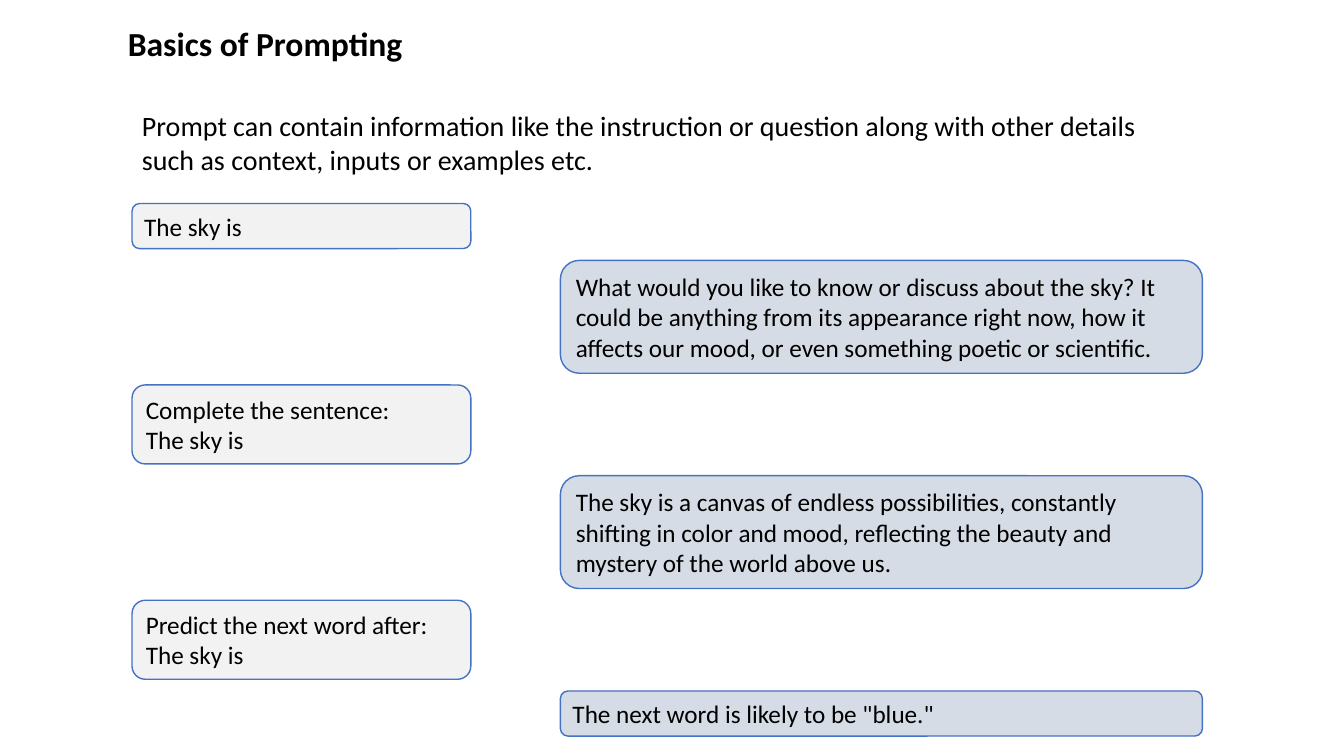
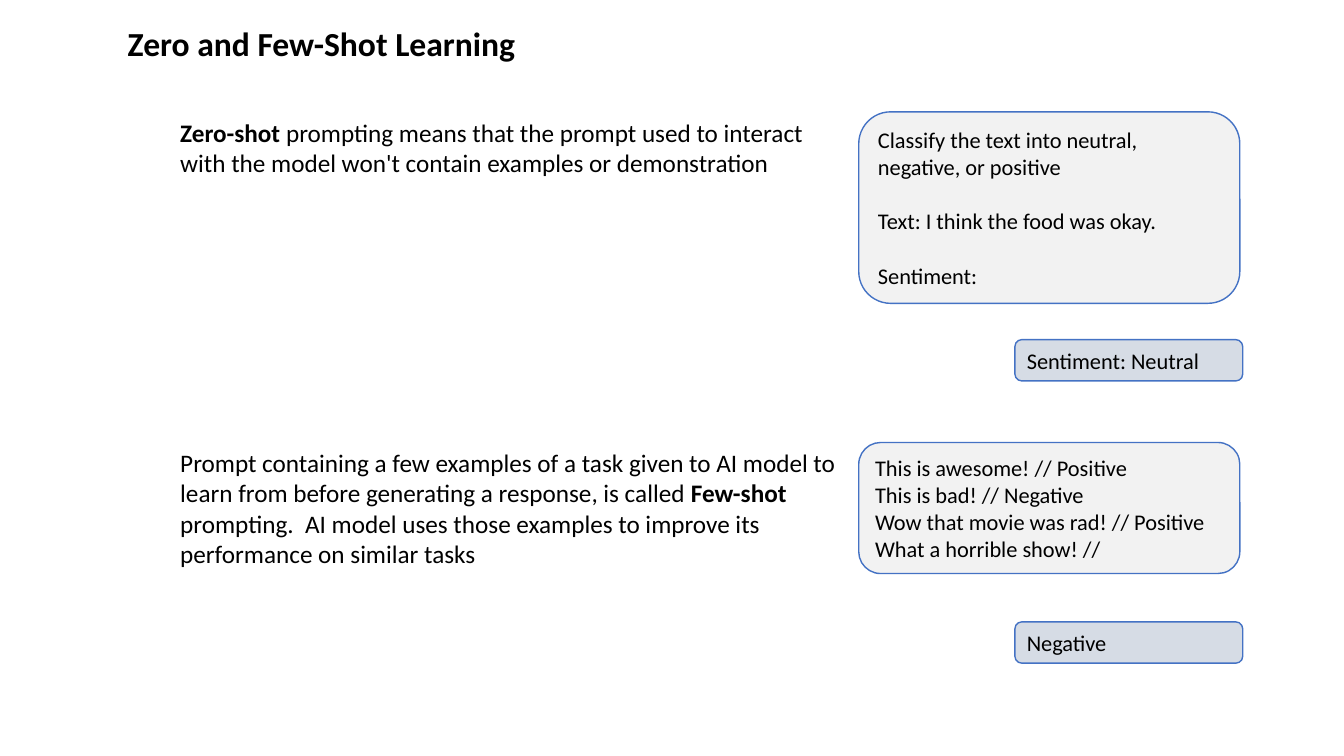
import dataclasses

import pptx
import pptx.dml.color
import pptx.enum.shapes
import pptx.enum.text
import pptx.util

Pt = pptx.util.Pt
Color = pptx.dml.color.RGBColor.from_string
Kind = pptx.enum.shapes.MSO_SHAPE
Anchor = pptx.enum.text.MSO_ANCHOR
Align = pptx.enum.text.PP_ALIGN


# Colours and type sizes
@dataclasses.dataclass(frozen=True)
class Theme:
    font: str = "Calibri"
    ink: str = "000000"
    edge: str = "4472C4"
    ask: str = "F2F2F2"
    reply: str = "D6DCE5"
    title: int = 24
    lead: int = 20
    body: int = 18
    small: int = 16


THEME = Theme()

# Chat turns: speaker, line count, paragraphs
CHAT = [
    ("ask", 1, ["The sky is"]),
    ("reply", 3, ["What would you like to know or discuss about the sky? It could be "
                  "anything from its appearance right now, how it affects our mood, "
                  "or even something poetic or scientific."]),
    ("ask", 2, ["Complete the sentence:", "The sky is"]),
    ("reply", 3, ["The sky is a canvas of endless possibilities, constantly shifting in "
                  "color and mood, reflecting the beauty and mystery of the world above us."]),
    ("ask", 2, ["Predict the next word after:", "The sky is"]),
    ("reply", 1, ['The next word is likely to be "blue."']),
]
# Left edge and width for each speaker
LANES = {"ask": (94.3, 242), "reply": (400.3, 458.6)}


def apply(target, style):
    for name, value in style.items():
        setattr(target, name, value)


def write(frame, paras, size, bold=False, gap=0, anchor=Anchor.TOP):
    """Fill a frame; text between ** marks is bold."""
    apply(frame, {"word_wrap": True, "vertical_anchor": anchor})
    for row, text in enumerate(paras):
        para = frame.add_paragraph() if row else frame.paragraphs[0]
        apply(para, {"alignment": Align.LEFT, "space_before": Pt(gap if row else 0)})
        for part, words in enumerate(text.split("**")):
            if words:
                run = para.add_run()
                run.text = words
                apply(run.font, {"name": THEME.font, "size": Pt(size),
                                 "bold": bold or part % 2 == 1})
                run.font.color.rgb = Color(THEME.ink)


def label(slide, box, text, size, bold=False):
    shape = slide.shapes.add_textbox(*map(Pt, box))
    write(shape.text_frame, [text], size, bold)


def bubble(slide, role, box, paras, size, gap=0):
    shape = slide.shapes.add_shape(Kind.ROUNDED_RECTANGLE, *map(Pt, box))
    shape.shadow.inherit = False
    shape.fill.solid()
    shape.fill.fore_color.rgb = Color(getattr(THEME, role))
    shape.line.color.rgb = Color(THEME.edge)
    shape.line.width = Pt(1)
    write(shape.text_frame, paras, size, gap=gap, anchor=Anchor.MIDDLE)


def start(deck, title, width):
    slide = deck.slides.add_slide(deck.slide_layouts[6])
    label(slide, (84.2, 13, width, 36), title, THEME.title, bold=True)
    return slide


def basics(deck):
    slide = start(deck, "Basics of Prompting", 242)
    label(slide, (94.3, 74.2, 764.6, 79.9),
          "Prompt can contain information like the instruction or question along with "
          "other details such as context, inputs or examples etc.", THEME.lead)
    # Turns stack downward, each as tall as its lines
    top = 145.4
    for role, lines, paras in CHAT:
        left, width = LANES[role]
        height = 8 + 24.2 * lines
        bubble(slide, role, (left, top, width, height), paras, THEME.body)
        top += height + 8.4


def shots(deck):
    slide = start(deck, "Zero and Few-Shot Learning", 297.4)
    # Top, text height, text, ask height, ask lines, line gap, reply top, reply
    rows = [
        (79.9, 51.1,
         "**Zero-shot** prompting means that the prompt used to interact with the "
         "model won't contain examples or demonstration",
         136.8, ["Classify the text into neutral, negative, or positive",
                 "Text: I think the food was okay.", "Sentiment:"], 19.5,
         242.6, "Sentiment: Neutral"),
        (316.1, 94.3,
         "Prompt containing a few examples of a task given to AI model to learn from "
         "before generating a response, is called **Few-shot** prompting.  AI model "
         "uses those examples to improve its performance on similar tasks",
         93.6, ["This is awesome! // Positive", "This is bad! // Negative",
                "Wow that movie was rad! // Positive", "What a horrible show! //"], 0,
         444.2, "Negative"),
    ]
    for top, tall, text, height, asks, gap, low, reply in rows:
        label(slide, (121.7, top, 491.8, tall), text, THEME.body)
        bubble(slide, "ask", (613.4, top, 272.2, height), asks, THEME.small, gap)
        bubble(slide, "reply", (725, low, 162.7, 29.5), [reply], THEME.small)


def main():
    deck = pptx.Presentation()
    apply(deck, {"slide_width": Pt(960), "slide_height": Pt(540)})
    basics(deck)
    shots(deck)
    deck.save("out.pptx")


if __name__ == "__main__":
    main()
